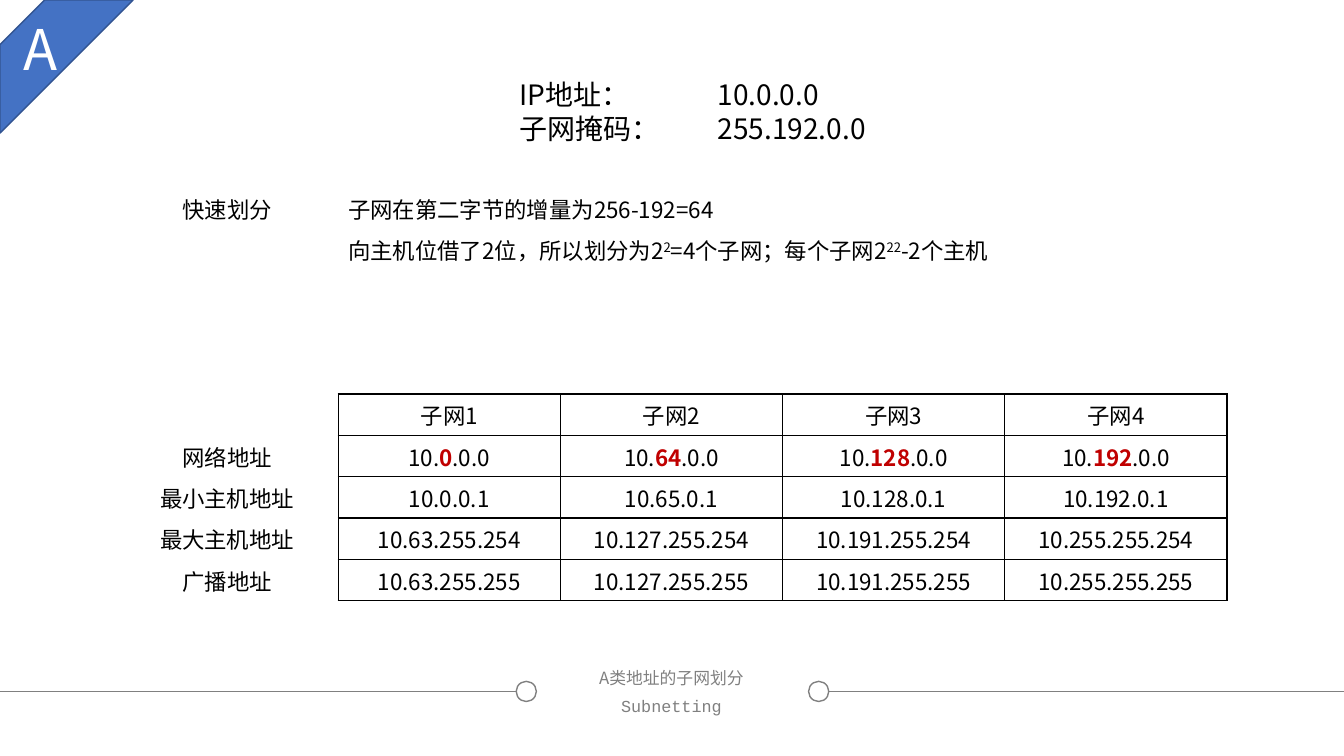
from lxml.etree import SubElement
from pptx import Presentation
from pptx.dml.color import RGBColor
from pptx.enum.shapes import MSO_CONNECTOR, MSO_SHAPE
from pptx.enum.text import MSO_ANCHOR, MSO_AUTO_SIZE, PP_ALIGN
from pptx.oxml import parse_xml
from pptx.oxml.ns import nsdecls, qn
from pptx.util import Inches, Pt

BLACK = RGBColor(0x00, 0x00, 0x00)
WHITE = RGBColor(0xFF, 0xFF, 0xFF)
GREY = RGBColor(0x80, 0x80, 0x80)
RED = RGBColor(0xC0, 0x00, 0x00)
BLUE = RGBColor(0x44, 0x72, 0xC4)
DARK_BLUE = RGBColor(0x32, 0x54, 0x91)
SANS, MONO = "Noto Sans CJK SC", "Courier New"


def format_runs(paragraph, size, color, face=SANS):
    for run in paragraph.runs:
        run.font.size = Pt(size)
        run.font.name = face
        run.font.color.rgb = color
        SubElement(run.font._element, qn("a:ea")).set("typeface", SANS)


def set_borders(cell, sides):
    properties = cell._tc.get_or_add_tcPr()
    for position, side in enumerate(("L", "R", "T", "B")):
        paint = '<a:solidFill><a:srgbClr val="000000"/></a:solidFill>' if side in sides else "<a:noFill/>"
        properties.insert(position, parse_xml(
            f'<a:ln{side} {nsdecls("a")} w="12700">{paint}</a:ln{side}>'))


presentation = Presentation()
presentation.slide_width = Inches(13.33)
presentation.slide_height = Inches(7.5)
slide = presentation.slides.add_slide(presentation.slide_layouts[5])
shapes = slide.shapes

# Footer rule: a ring on each side of the topic, with a line to the slide edge
RING, RULE_Y = 0.2, 6.86
for ring_left, line_start, line_end in ((5.12, 5.12, 0), (8.02, 8.02 + RING, 13.33)):
    ring = shapes.add_shape(MSO_SHAPE.OVAL, Inches(ring_left), Inches(RULE_Y - RING / 2),
                            Inches(RING), Inches(RING))
    ring.shadow.inherit = False
    ring.fill.background()
    rule = shapes.add_connector(MSO_CONNECTOR.STRAIGHT, Inches(line_start), Inches(RULE_Y),
                                Inches(line_end), Inches(RULE_Y))
    SubElement(rule._element.spPr, qn("a:effectLst"))
    for part, width in ((ring, 1), (rule, 0.5)):
        part.line.color.rgb = GREY
        part.line.width = Pt(width)

# Topic in the footer, with its English name below
topic = shapes.title
topic.left, topic.top, topic.width, topic.height = map(Inches, (5.31, 6.58, 2.7, 0.28))
english = shapes.add_textbox(Inches(5.31), Inches(RULE_Y), Inches(2.7), Inches(0.29))
for caption, wording, face in ((topic, "A类地址的子网划分", SANS), (english, "Subnetting", MONO)):
    frame = caption.text_frame
    frame.text = wording
    frame.word_wrap = True
    frame.auto_size = MSO_AUTO_SIZE.NONE
    frame.vertical_anchor = MSO_ANCHOR.MIDDLE
    frame.margin_top = frame.margin_bottom = Inches(0.05)
    frame.paragraphs[0].alignment = PP_ALIGN.CENTER
    format_runs(frame.paragraphs[0], 12, GREY, face)

# Address and mask, values aligned on a tab stop
address = shapes.add_textbox(Inches(5.05), Inches(0.72), Inches(3.71), Inches(0.77)).text_frame
address.word_wrap = False
address.text = "IP地址：\t10.0.0.0\n子网掩码：\t255.192.0.0"
for paragraph in address.paragraphs:
    tabs = SubElement(paragraph._p.get_or_add_pPr(), qn("a:tabLst"))
    SubElement(tabs, qn("a:tab"), pos=str(Inches(1.97)), algn="l")
    format_runs(paragraph, 20, BLACK)

# Table content; "|" separates runs, every second run is emphasised
HEADER_ROW = 5
content = {
    0: ["快速划分", "子网在第二字节的增量为256-192=64"],
    1: ["", "向主机位借了2位，所以划分为2|2|=4个子网；每个子网2|22|-2个主机"],
    HEADER_ROW: ["", "子网1", "子网2", "子网3", "子网4"],
    6: ["网络地址", "10.|0|.0.0", "10.|64|.0.0", "10.|128|.0.0", "10.|192|.0.0"],
    7: ["最小主机地址", "10.0.0.1", "10.65.0.1", "10.128.0.1", "10.192.0.1"],
    8: ["最大主机地址", "10.63.255.254", "10.127.255.254", "10.191.255.254", "10.255.255.254"],
    9: ["广播地址", "10.63.255.255", "10.127.255.255", "10.191.255.255", "10.255.255.255"],
}
ROWS, COLUMNS, ROW_HEIGHT = 10, 5, 0.41
table_frame = shapes.add_table(ROWS, COLUMNS, Inches(1.15), Inches(1.86),
                               Inches(11.02), Inches(ROWS * ROW_HEIGHT))
subnets = table_frame.table
subnets.first_row = subnets.horz_banding = False

for row in range(ROWS):
    in_grid = row >= HEADER_ROW
    for column in range(COLUMNS):
        cell = subnets.cell(row, column)
        cell.fill.background()
        cell.vertical_anchor = MSO_ANCHOR.MIDDLE
        paragraph = cell.text_frame.paragraphs[0]
        if in_grid or column == 0:
            paragraph.alignment = PP_ALIGN.CENTER
        wording = dict(enumerate(content.get(row, []))).get(column, "")
        for piece in wording.split("|") if wording else []:
            paragraph.add_run().text = piece
        format_runs(paragraph, 16, BLACK)
        for run in paragraph.runs[1::2]:
            if in_grid:
                run.font.bold = True
                run.font.color.rgb = RED
            else:
                run.font._element.set("baseline", "30000")
        if not wording:  # keeps empty rows at the common height
            SubElement(paragraph._p, qn("a:endParaRPr"), sz="1600")
        if in_grid:
            set_borders(cell, "LRTB" if column else "R")
        else:
            set_borders(cell, "B" if column and row == HEADER_ROW - 1 else "")
    if not in_grid:
        subnets.cell(row, 1).merge(subnets.cell(row, COLUMNS - 1))

# Corner ribbon with the class letter
ribbon = shapes.add_shape(MSO_SHAPE.DIAGONAL_STRIPE, 0, 0, Inches(1.32), Inches(1.32))
ribbon.adjustments[0] = 0.336
ribbon.shadow.inherit = False
ribbon.fill.solid()
ribbon.fill.fore_color.rgb = BLUE
ribbon.line.color.rgb = DARK_BLUE
ribbon.line.width = Pt(1)
letter = shapes.add_textbox(Inches(0.13), Inches(0.09), Inches(0.54), Inches(0.77)).text_frame
letter.word_wrap = False
letter.text = "A"
letter.paragraphs[0].alignment = PP_ALIGN.CENTER
format_runs(letter.paragraphs[0], 40, WHITE)

presentation.save("out.pptx")
